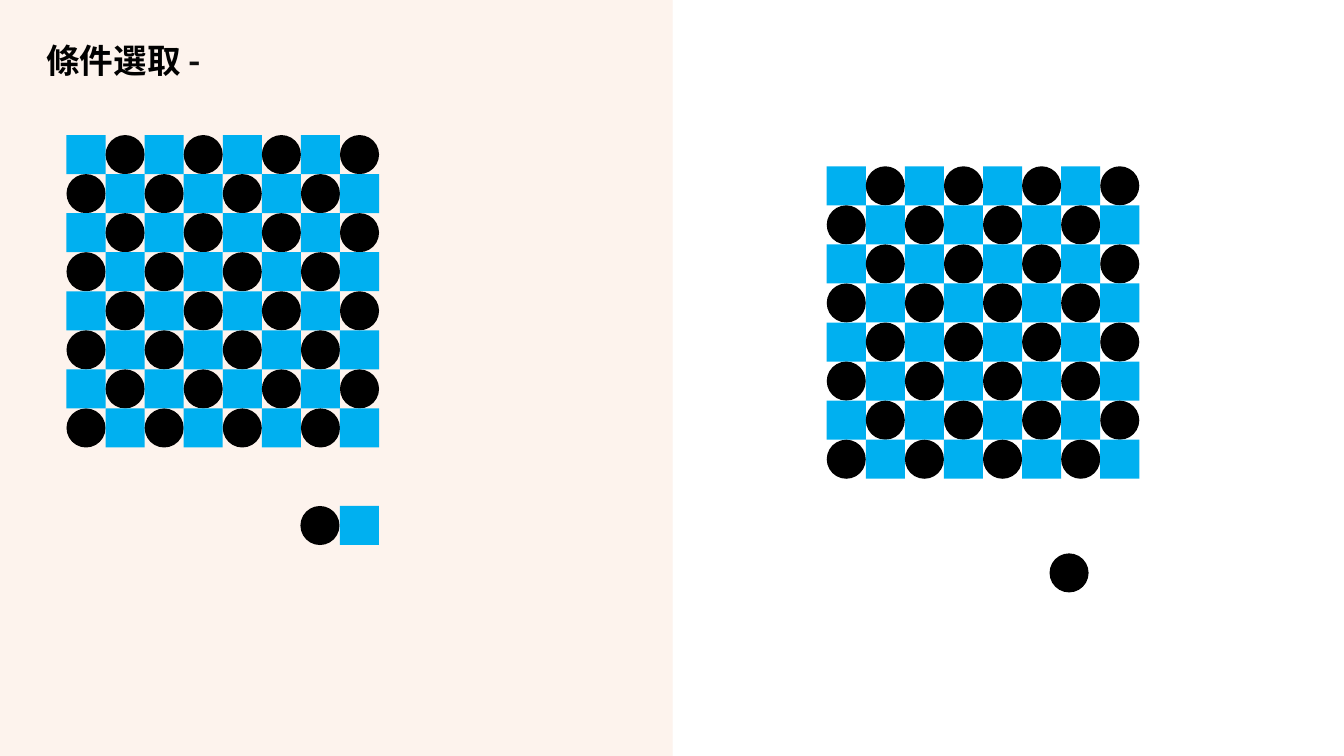
"""Build the conditional selection slide with two checkerboards of squares and discs."""
from dataclasses import dataclass

import lxml.etree
import pptx
import pptx.dml.color
import pptx.enum.shapes
import pptx.enum.text
import pptx.oxml.ns
import pptx.util

Inches = pptx.util.Inches
Kind = pptx.enum.shapes.MSO_SHAPE
COLORS = {
    "panel": "F4B183",
    "divider": "FBE5D6",
    "square": "00B0F0",
    "disc": "000000",
    "title": "000000",
    "dash": "0D0D0D",
}
FONT = "Noto Sans CJK SC"
CELLS = 8
CELL = 3.1 / CELLS


@dataclass(frozen=True)
class Board:
    left: float
    top: float


@dataclass(frozen=True)
class Piece:
    name: str
    left: float
    top: float
    width: float = CELL
    height: float = CELL


BOARDS = [Board(0.66, 1.34), Board(8.2, 1.65)]
LOOSE_PIECES = [
    Piece("square", 3.37, 5.02),
    Piece("disc", 2.98, 5.02),
    Piece("disc", 10.41, 5.49),
]


def color(name: str) -> pptx.dml.color.RGBColor:
    return pptx.dml.color.RGBColor.from_string(COLORS[name])


def add_child(parent, tag: str, **attributes: str):
    child = lxml.etree.SubElement(parent, pptx.oxml.ns.qn(tag))
    for key, value in attributes.items():
        child.set(key, value)
    return child


def set_opacity(shape, percent: int) -> None:
    for tone in shape._element.spPr.iter(pptx.oxml.ns.qn("a:srgbClr")):
        add_child(tone, "a:alpha", val=str(percent * 1000))


def draw_piece(page, piece: Piece):
    kind = Kind.OVAL if piece.name == "disc" else Kind.RECTANGLE
    shape = page.shapes.add_shape(
        kind, Inches(piece.left), Inches(piece.top), Inches(piece.width), Inches(piece.height)
    )
    shape.shadow.inherit = False
    shape.fill.solid()
    shape.fill.fore_color.rgb = color(piece.name)
    shape.line.fill.background()
    return shape


def draw_board(page, board: Board) -> None:
    for row in range(CELLS):
        for column in range(CELLS):
            name = "disc" if (row + column) % 2 else "square"
            draw_piece(page, Piece(name, board.left + column * CELL, board.top + row * CELL))


def draw_background(page) -> None:
    set_opacity(draw_piece(page, Piece("panel", 0, 0, 6.67, 7.5)), 14)
    divider = page.shapes.add_connector(
        pptx.enum.shapes.MSO_CONNECTOR.STRAIGHT, Inches(6.67), Inches(7.5), Inches(6.67), Inches(0)
    )
    divider.line.color.rgb = color("divider")
    divider.line.width = pptx.util.Pt(0.25)
    set_opacity(divider, 50)
    add_child(divider._element.spPr, "a:effectLst")


def write_title(page) -> None:
    title = page.shapes.title
    title.left, title.top = Inches(0.36), Inches(0.4)
    title.width, title.height = Inches(5.95), Inches(0.44)
    frame = title.text_frame
    frame.word_wrap = False
    frame.auto_size = pptx.enum.text.MSO_AUTO_SIZE.NONE
    frame.vertical_anchor = pptx.enum.text.MSO_ANCHOR.MIDDLE
    para = frame.paragraphs[0]
    para.alignment = pptx.enum.text.PP_ALIGN.LEFT
    para.line_spacing = 0.9
    para.font.size = pptx.util.Pt(24)
    para.font.bold = True
    para.font.name = FONT
    add_child(para._p.pPr.find(pptx.oxml.ns.qn("a:defRPr")), "a:ea", typeface=FONT)
    for text, name in (("條件選取 ", "title"), ("-", "dash")):
        span = para.add_run()
        span.text = text
        span.font.color.rgb = color(name)
    page.shapes._spTree.append(title._element)


def main() -> None:
    deck = pptx.Presentation()
    deck.slide_width, deck.slide_height = Inches(13.33), Inches(7.5)
    page = deck.slides.add_slide(deck.slide_layouts.get_by_name("Title Only"))
    draw_background(page)
    write_title(page)
    for board in BOARDS:
        draw_board(page, board)
    for piece in LOOSE_PIECES:
        draw_piece(page, piece)
    deck.save("out.pptx")


if __name__ == "__main__":
    main()
